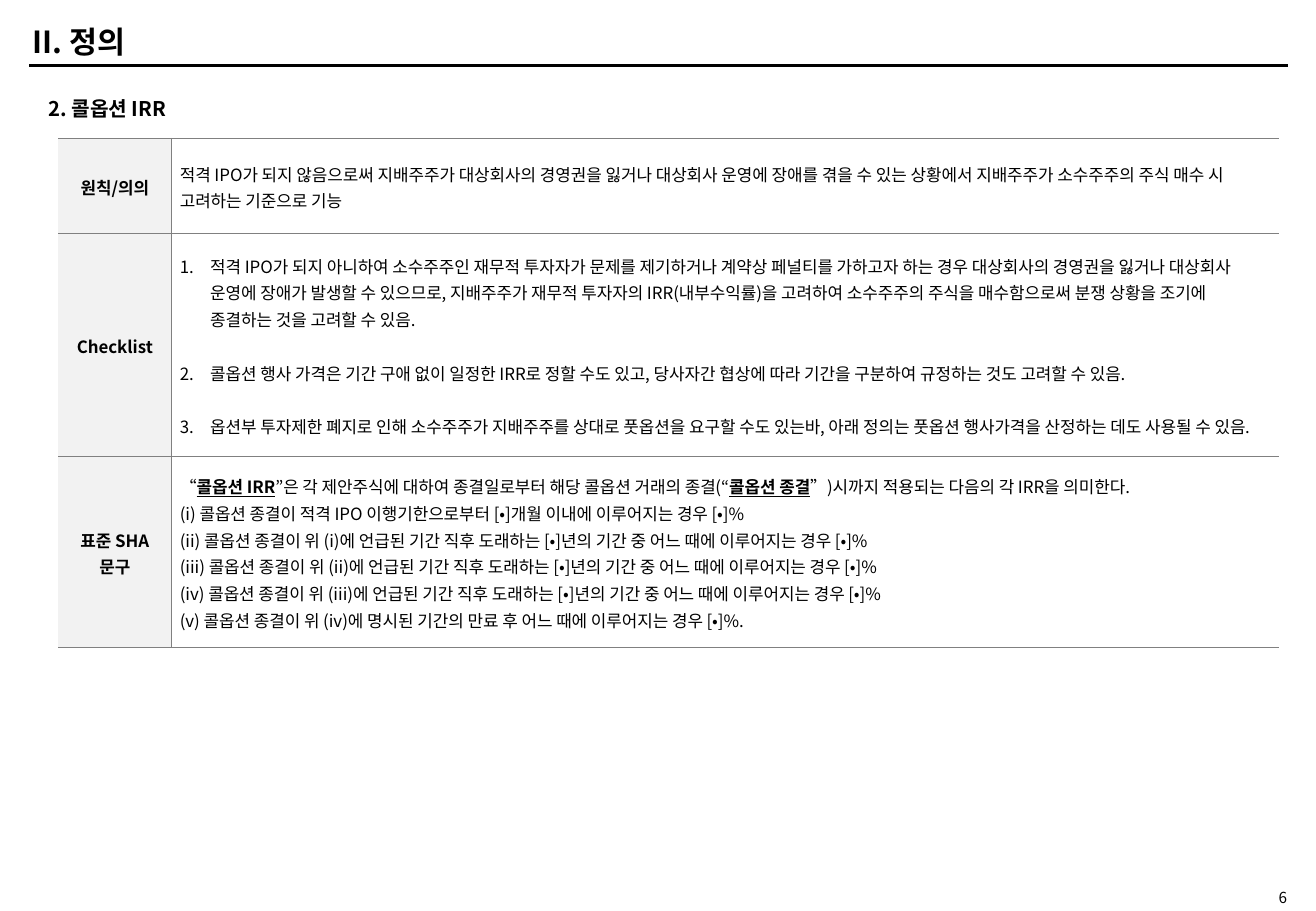
from lxml.etree import SubElement
from pptx import Presentation
from pptx.dml.color import RGBColor
from pptx.enum.shapes import MSO_CONNECTOR
from pptx.enum.text import MSO_ANCHOR, PP_ALIGN
from pptx.oxml.ns import qn
from pptx.util import Inches, Pt

WIDE = Inches(10.83)
HIGH = Inches(7.5)
FONT = "Noto Sans CJK KR"
BLACK = RGBColor(0x00, 0x00, 0x00)
GRAY = RGBColor(0x80, 0x80, 0x80)
PALE = RGBColor(0xF2, 0xF2, 0xF2)
PLAIN_STYLE = "{2D5ABB26-0587-4C30-8999-92F81FD0307C}"
COLS = [8.59, 84.21]
ROWS = [10.4, 24.53, 20.93]
LABELS = ["원칙/의의", "Checklist", "표준 SHA\n문구"]
MEANING = [
    "적격 IPO가 되지 않음으로써 지배주주가 대상회사의 경영권을 잃거나 대상회사 운영에 장애를 겪을 수 있는 "
    "상황에서 지배주주가 소수주주의 주식 매수 시 고려하는 기준으로 기능",
]
CHECKS = [
    "적격 IPO가 되지 아니하여 소수주주인 재무적 투자자가 문제를 제기하거나 계약상 페널티를 가하고자 하는 경우 "
    "대상회사의 경영권을 잃거나 대상회사 운영에 장애가 발생할 수 있으므로, 지배주주가 재무적 투자자의 "
    "IRR(내부수익률)을 고려하여 소수주주의 주식을 매수함으로써 분쟁 상황을 조기에 종결하는 것을 고려할 수 있음.",
    "콜옵션 행사 가격은 기간 구애 없이 일정한 IRR로 정할 수도 있고, 당사자간 협상에 따라 기간을 구분하여 "
    "규정하는 것도 고려할 수 있음.",
    "옵션부 투자제한 폐지로 인해 소수주주가 지배주주를 상대로 풋옵션을 요구할 수도 있는바, 아래 정의는 "
    "풋옵션 행사가격을 산정하는 데도 사용될 수 있음.",
]
CLAUSE = [
    "“_콜옵션 IRR_”은 각 제안주식에 대하여 종결일로부터 해당 콜옵션 거래의 종결(“_콜옵션 종결_”)시까지 "
    "적용되는 다음의 각 IRR을 의미한다.",
    "(i) 콜옵션 종결이 적격 IPO 이행기한으로부터 [•]개월 이내에 이루어지는 경우 [•]%",
    "(ii) 콜옵션 종결이 위 (i)에 언급된 기간 직후 도래하는 [•]년의 기간 중 어느 때에 이루어지는 경우 [•]%",
    "(iii) 콜옵션 종결이 위 (ii)에 언급된 기간 직후 도래하는 [•]년의 기간 중 어느 때에 이루어지는 경우 [•]%",
    "(iv) 콜옵션 종결이 위 (iii)에 언급된 기간 직후 도래하는 [•]년의 기간 중 어느 때에 이루어지는 경우 [•]%",
    "(v) 콜옵션 종결이 위 (iv)에 명시된 기간의 만료 후 어느 때에 이루어지는 경우 [•]%.",
]


def across(share):
    return round(WIDE * share / 100)


def down(share):
    return round(HIGH * share / 100)


def style(run, size, bold=False):
    run.font.name = FONT
    run.font.size = Pt(size)
    run.font.bold = bold
    run.font.color.rgb = BLACK
    latin = run.font._element.find(qn("a:latin"))
    asian = latin.makeelement(qn("a:ea"), {"typeface": FONT})
    latin.addnext(asian)


def add_text(slide, text, place, size, bold=False):
    left, top, width, height = place
    box = slide.shapes.add_textbox(
        across(left), down(top), across(width), down(height))
    frame = box.text_frame
    frame.word_wrap = True
    frame.text = text
    style(frame.paragraphs[0].runs[0], size, bold)
    return frame


def add_rule(slide):
    rule = slide.shapes.add_connector(
        MSO_CONNECTOR.STRAIGHT,
        across(2.22), down(7.2), across(97.88), down(7.2))
    rule.line.color.rgb = BLACK
    rule.line.width = Pt(2)
    SubElement(rule._element.spPr, qn("a:effectLst"))


def add_edge(cell, side, width):
    props = cell._tc.get_or_add_tcPr()
    edge = SubElement(props, qn("a:ln" + side), w=str(Pt(width)))
    fill = SubElement(edge, qn("a:solidFill"))
    SubElement(fill, qn("a:srgbClr"), val=str(GRAY))


def set_cell(cell, lines):
    cell.margin_left = cell.margin_right = Inches(0.07)
    cell.margin_top = cell.margin_bottom = 0
    cell.vertical_anchor = MSO_ANCHOR.MIDDLE
    cell.text_frame.text = "\n".join(lines)
    for para in cell.text_frame.paragraphs:
        para.line_spacing = 1.1
        for run in para.runs:
            style(run, 10)


def mark_terms(para):
    parts = para.text.split("_")
    para.text = parts[0]
    for part in parts[1:]:
        para.add_run().text = part
    for index, run in enumerate(para.runs):
        term = index % 2 == 1
        style(run, 10, term)
        run.font.underline = term


def number(paras):
    for index, para in enumerate(paras):
        if index:
            para.space_before = Pt(16)
        props = para._p.get_or_add_pPr()
        props.set("marL", str(Inches(0.25)))
        props.set("indent", str(-Inches(0.25)))
        SubElement(props, qn("a:buFont"), typeface=FONT)
        SubElement(props, qn("a:buAutoNum"), type="arabicPeriod")


def add_grid(slide):
    frame = slide.shapes.add_table(
        len(ROWS), len(COLS), across(4.43), down(15.2),
        across(sum(COLS)), down(sum(ROWS)))
    table = frame.table
    table.first_row = table.horz_banding = False
    table._tbl.tblPr.find(qn("a:tableStyleId")).text = PLAIN_STYLE
    for column, share in zip(table.columns, COLS):
        column.width = across(share)
    last = len(ROWS) - 1
    bodies = [MEANING, CHECKS, CLAUSE]
    for index, (label, body) in enumerate(zip(LABELS, bodies)):
        table.rows[index].height = down(ROWS[index])
        head, main_cell = table.cell(index, 0), table.cell(index, 1)
        for cell, side in ((head, "R"), (main_cell, "L")):
            add_edge(cell, side, 0.5)
            add_edge(cell, "T", 1 if index == 0 else 0.5)
            add_edge(cell, "B", 1 if index == last else 0.5)
        head.fill.solid()
        head.fill.fore_color.rgb = PALE
        main_cell.fill.background()
        set_cell(head, [label])
        for para in head.text_frame.paragraphs:
            para.alignment = PP_ALIGN.CENTER
            para.runs[0].font.bold = True
        set_cell(main_cell, body)
    number(table.cell(1, 1).text_frame.paragraphs)
    mark_terms(table.cell(2, 1).text_frame.paragraphs[0])


def main():
    deck = Presentation()
    deck.slide_width = WIDE
    deck.slide_height = HIGH
    slide = deck.slides.add_slide(deck.slide_layouts[6])
    add_rule(slide)
    page = add_text(slide, "6", (90.03, 97.47, 8.68, 2), 9)
    page.margin_top = page.margin_bottom = 0
    page.vertical_anchor = MSO_ANCHOR.MIDDLE
    page.paragraphs[0].alignment = PP_ALIGN.RIGHT
    title = add_text(slide, "II. 정의", (1.57, 2, 47.18, 5.07), 18, True)
    title.vertical_anchor = MSO_ANCHOR.MIDDLE
    add_text(slide, "2. 콜옵션 IRR", (2.77, 9.87, 56.05, 4), 12, True)
    add_grid(slide)
    deck.save("out.pptx")


if __name__ == "__main__":
    main()
